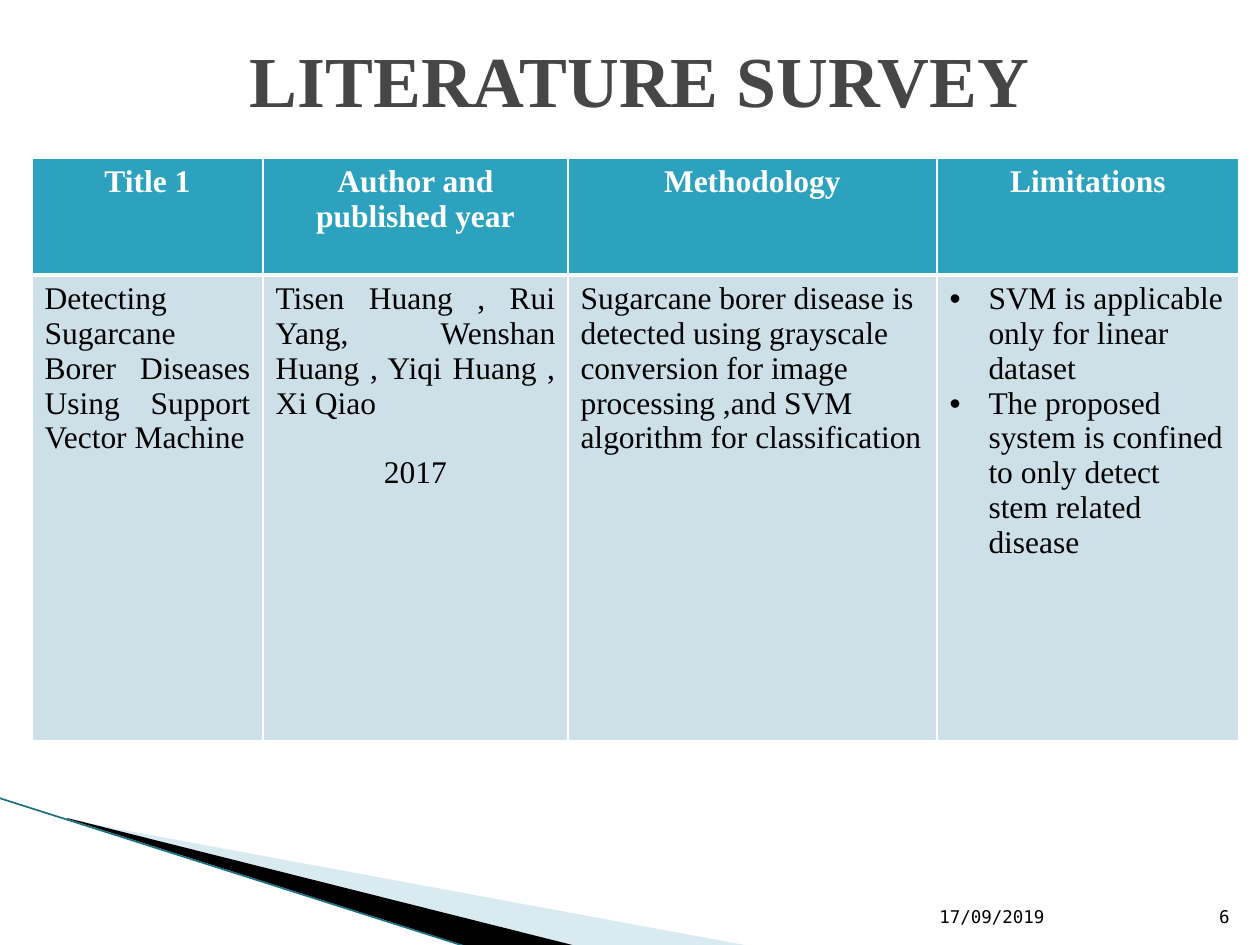
"""Build the literature survey slide."""
from lxml import etree
from pptx import Presentation, util as u
from pptx.dml.color import RGBColor
from pptx.enum import shapes, text
from pptx.oxml import ns

PIXEL = u.Inches(1) // 126
SERIF, MONO = "Times New Roman", "DejaVu Sans Mono"
WHITE, BLACK = RGBColor(255, 255, 255), RGBColor(0, 0, 0)
GREY, TEAL = RGBColor(0x46, 0x46, 0x46), RGBColor(0x2D, 0xA2, 0xBF)
PALE, ICE = RGBColor(0xCD, 0xE0, 0xE8), RGBColor(0xA0, 0xCB, 0xDC)
EDGE = RGBColor(0x1A, 0x70, 0x85)
LEFT, CENTER, RIGHT, JUSTIFY = (
    text.PP_ALIGN.LEFT, text.PP_ALIGN.CENTER, text.PP_ALIGN.RIGHT, text.PP_ALIGN.JUSTIFY)

TITLE = "LITERATURE SURVEY"
HEADERS = ["Title 1", "Author and published year", "Methodology", "Limitations"]
BODY = [
    [("Detecting Sugarcane Borer Diseases Using Support Vector Machine", JUSTIFY)],
    [("Tisen Huang , Rui Yang, Wenshan Huang , Yiqi Huang , Xi Qiao", JUSTIFY),
     ("2017", CENTER)],
    [("Sugarcane borer disease is detected using grayscale conversion for image "
      "processing ,and SVM algorithm for classification", LEFT)],
    [("SVM is applicable only for linear dataset", LEFT),
     ("The proposed system is confined to only detect stem related disease", LEFT)],
]
BULLET_COLUMN = 3
COLUMNS, ROWS = [231, 305, 369, 302], [117, 466]
WEDGES = [
    ([(69, 820), (750, 946), (575, 946), (69, 819)], ICE, 40),
    ([(67, 818), (576, 946), (469, 947), (68, 819)], BLACK, 100),
]
FOOTERS = [("17/09/2019", (927, 883, 265, 50), LEFT), ("6", (1192, 883, 50, 50), RIGHT)]


def px(*values):
    return [value * PIXEL for value in values]


def style(paragraph, size, name, color, align, bold=False):
    paragraph.alignment = align
    font = paragraph.font
    font.size, font.name, font.bold = u.Pt(size), name, bold
    font.color.rgb = color


def add_child(parent, tag, **attributes):
    return etree.SubElement(parent, ns.qn(tag), **attributes)


def set_borders(cell, bottom):
    properties = cell._tc.get_or_add_tcPr()
    for index, side in enumerate("LRTB"):
        width = bottom if side == "B" else 1
        line = etree.Element(ns.qn("a:ln" + side), w=str(u.Pt(width)))
        add_child(add_child(line, "a:solidFill"), "a:srgbClr", val=str(WHITE))
        properties.insert(index, line)


def set_bullet(paragraph):
    properties = paragraph._p.get_or_add_pPr()
    indent = 39 * PIXEL
    properties.set("marL", str(indent))
    properties.set("indent", str(-indent))
    add_child(properties, "a:buFont", typeface="Arial")
    add_child(properties, "a:buChar", char="•")


def fill_cell(cell, items, fill, color, bold, bottom, bulleted):
    cell.fill.solid()
    cell.fill.fore_color.rgb = fill
    set_borders(cell, bottom)
    frame = cell.text_frame
    for index, (words, align) in enumerate(items):
        paragraph = frame.add_paragraph() if index else frame.paragraphs[0]
        paragraph.text = words
        style(paragraph, 18, SERIF, color, align, bold)
        if bulleted:
            set_bullet(paragraph)
        elif index:
            paragraph.space_before = u.Pt(20)


def add_wedge(slide, points, color, opacity):
    builder = slide.shapes.build_freeform(*points[0], scale=PIXEL)
    builder.add_line_segments(points[1:])
    shape = builder.convert_to_shape()
    shape.shadow.inherit = False
    shape.line.fill.background()
    shape.fill.solid()
    shape.fill.fore_color.rgb = color
    if opacity < 100:
        solid = shape._element.spPr.find(ns.qn("a:solidFill"))
        add_child(solid[0], "a:alpha", val=str(opacity * 1000))


def add_edge(slide):
    edge = slide.shapes.add_connector(shapes.MSO_CONNECTOR.STRAIGHT, *px(-1, 798, 467, 947))
    edge.line.color.rgb = EDGE
    edge.line.width = u.Pt(0.95)
    add_child(edge._element.spPr, "a:effectLst")


def add_survey(slide):
    frame = slide.shapes.add_table(2, 4, *px(32, 158, sum(COLUMNS), sum(ROWS)))
    table = frame.table
    for row, height in zip(table.rows, ROWS):
        row.height = height * PIXEL
    for index, width in enumerate(COLUMNS):
        table.columns[index].width = width * PIXEL
        header = [(HEADERS[index], CENTER)]
        fill_cell(table.cell(0, index), header, TEAL, WHITE, True, 3, False)
        fill_cell(table.cell(1, index), BODY[index], PALE, BLACK, False, 1,
                  index == BULLET_COLUMN)


def set_title(slide):
    title = slide.shapes.title
    title.left, title.top, title.width, title.height = px(73, 0, 1134, 158)
    frame = title.text_frame
    frame.text = TITLE
    frame.auto_size = text.MSO_AUTO_SIZE.NONE
    frame.vertical_anchor = text.MSO_ANCHOR.MIDDLE
    style(frame.paragraphs[0], 41, SERIF, GREY, CENTER, True)


def add_footer(slide, words, box, align):
    frame = slide.shapes.add_textbox(*px(*box)).text_frame
    frame.word_wrap = True
    frame.vertical_anchor = text.MSO_ANCHOR.BOTTOM
    frame.text = words
    style(frame.paragraphs[0], 10, MONO, BLACK, align)


presentation = Presentation()
presentation.slide_width, presentation.slide_height = px(1260, 945)
slide = presentation.slides.add_slide(presentation.slide_layouts[5])
set_title(slide)
for wedge in WEDGES:
    add_wedge(slide, *wedge)
add_edge(slide)
add_survey(slide)
for footer in FOOTERS:
    add_footer(slide, *footer)
presentation.save("out.pptx")
